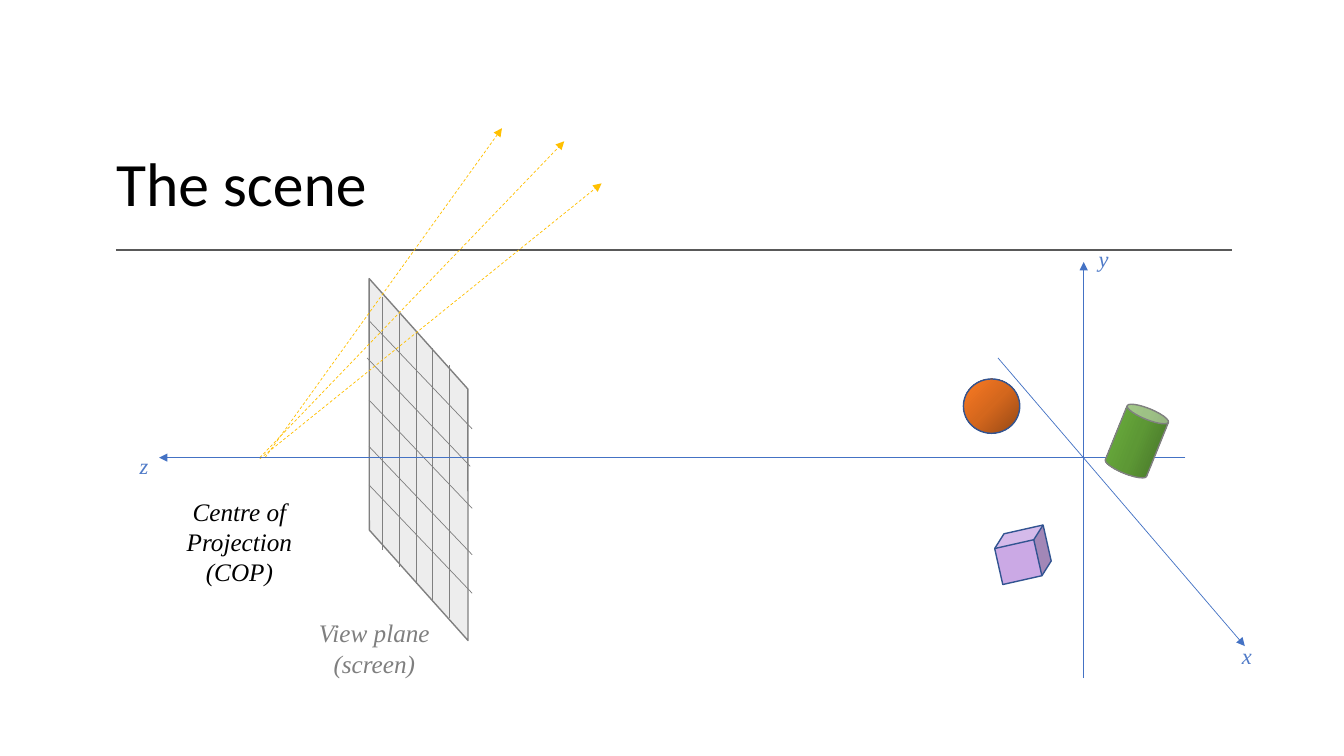
from copy import deepcopy
from dataclasses import dataclass

from lxml.etree import SubElement
from pptx import Presentation
from pptx.dml.color import RGBColor
from pptx.enum.dml import MSO_LINE
from pptx.enum.shapes import MSO_CONNECTOR, MSO_SHAPE
from pptx.enum.text import MSO_ANCHOR, MSO_AUTO_SIZE, PP_ALIGN
from pptx.oxml.ns import qn
from pptx.util import Cm, Pt


@dataclass(frozen=True)
class Theme:
    title_font: str = "Calibri"
    label_font: str = "Times New Roman"
    title_size: int = 44
    label_size: int = 18
    axis_label_size: int = 16
    text: str = "000000"
    rule: str = "595959"
    muted: str = "7F7F7F"
    grid: str = "808080"
    plane: str = "D9D9D9"
    ray: str = "FFC000"
    axis: str = "4472C4"
    axis_label: str = "507BC8"
    outline: str = "325491"
    cube: str = "CBA9E5"
    sphere: tuple = ("954815", "D4671D", "FB7A23")
    cylinder: tuple = ("416B26", "5D9835", "6EB53F")


theme = Theme()
presentation = Presentation()
presentation.slide_width, presentation.slide_height = Cm(33.87), Cm(19.05)
slide = presentation.slides.add_slide(presentation.slide_layouts[5])


def add_line(start, end, color, width=0.5, arrow=False, dashed=False):
    connector = slide.shapes.add_connector(
        MSO_CONNECTOR.STRAIGHT, *(Cm(value) for value in (*start, *end)))
    connector.line.color.rgb = RGBColor.from_string(color)
    connector.line.width = Pt(width)
    if dashed:
        connector.line.dash_style = MSO_LINE.DASH
    if arrow:
        SubElement(connector.line._get_or_add_ln(), qn("a:tailEnd"), type="triangle")
    SubElement(connector._element.spPr, qn("a:effectLst"))


def add_label(lines, box, size, color, wrap=True):
    label = slide.shapes.add_textbox(*(Cm(value) for value in box))
    frame = label.text_frame
    frame.word_wrap = wrap
    frame.auto_size = MSO_AUTO_SIZE.SHAPE_TO_FIT_TEXT
    paragraph = frame.paragraphs[0]
    paragraph.alignment = PP_ALIGN.CENTER
    for index, line in enumerate(lines):
        if index:
            paragraph.add_line_break()
        run = paragraph.add_run()
        run.text = line
        run.font.name = theme.label_font
        run.font.size = Pt(size)
        run.font.italic = True
        run.font.color.rgb = RGBColor.from_string(color)


# Title and rule
title = slide.shapes.title
title.left, title.top, title.width, title.height = Cm(2.67), Cm(2.72), Cm(29.41), Cm(2.95)
title.text_frame.vertical_anchor = MSO_ANCHOR.BOTTOM
title.text_frame.auto_size = MSO_AUTO_SIZE.NONE
title_paragraph = title.text_frame.paragraphs[0]
title_paragraph.alignment = PP_ALIGN.LEFT
title_paragraph.line_spacing = 0.9
title_run = title_paragraph.add_run()
title_run.text = "The scene"
title_run.font.name = theme.title_font
title_run.font.size = Pt(theme.title_size)
title_run.font.color.rgb = RGBColor.from_string(theme.text)
add_line((2.92, 6.3), (31.04, 6.3), theme.rule, width=1.25)

# View plane
add_label(["View plane", "(screen)"], (7.77, 15.44, 3.33, 1.8),
          theme.label_size, theme.muted, wrap=False)
plane = slide.shapes.add_shape(
    MSO_SHAPE.PARALLELOGRAM, Cm(6.32), Cm(9.47), Cm(8.46), Cm(4.22))
plane.shadow.inherit = False
plane.adjustments[0] = 1.12
plane.rotation = 48.2
plane._element.spPr.xfrm.set("flipV", "1")
plane.fill.solid()
plane.fill.fore_color.rgb = RGBColor.from_string(theme.plane)
plane_color = plane._element.spPr.find(qn("a:solidFill")).find(qn("a:srgbClr"))
SubElement(plane_color, qn("a:alpha"), val="45000")
plane.line.color.rgb = RGBColor.from_string(theme.grid)
plane.line.width = Pt(1)

# Pixel grid on the view plane
for column in range(5):
    x, y = 9.63 + 0.425 * column, 7.49 + 0.43 * column
    add_line((x, y), (x, y + 6.37), theme.grid)
for x, y in [(9.3, 8.08), (9.25, 9.02), (9.3, 10.08), (9.3, 11.25), (9.3, 12.22)]:
    add_line((x, y), (x + 2.6, y + 2.73), theme.grid)

# Rays from the centre of projection
for start, end in [
    ((6.68, 11.53), (12.65, 3.23)),
    ((6.55, 11.53), (14.22, 3.56)),
    ((6.55, 11.56), (15.16, 4.62)),
]:
    add_line(start, end, theme.ray, arrow=True, dashed=True)
add_label(["Centre of Projection (COP)"], (3.71, 12.37, 4.65, 2.57),
          theme.label_size, theme.text)

# Axes with their names
for name, start, end, (left, top) in [
    ("z", (29.87, 11.53), (4.01, 11.53), (3.25, 11.28)),
    ("y", (27.31, 17.09), (27.31, 6.6), (27.43, 6.05)),
    ("x", (25.15, 9.02), (31.37, 16.28), (31.04, 16.05)),
]:
    add_line(start, end, theme.axis, arrow=True)
    add_label([name], (left, top, 0.76, 0.94), theme.axis_label_size, theme.axis_label)

# Solids: colours, gradient angle, outline, rotation
for preset, box, colors, angle, outline, rotation in [
    (MSO_SHAPE.OVAL, (24.28, 9.55, 1.42, 1.37), theme.sphere, 135, theme.outline, 0),
    (MSO_SHAPE.CUBE, (25.12, 13.36, 1.32, 1.24), (theme.cube,), 0, theme.outline, 347.3),
    (MSO_SHAPE.CAN, (28.09, 10.24, 1.12, 1.75), theme.cylinder, 180, theme.grid, 22),
]:
    solid = slide.shapes.add_shape(preset, *(Cm(value) for value in box))
    solid.shadow.inherit = False
    solid.rotation = rotation
    solid.line.color.rgb = RGBColor.from_string(outline)
    solid.line.width = Pt(1)
    if len(colors) == 1:
        solid.fill.solid()
        solid.fill.fore_color.rgb = RGBColor.from_string(colors[0])
    else:
        solid.fill.gradient()
        solid.fill.gradient_angle = angle
        stop_list = solid._element.spPr.find(qn("a:gradFill")).find(qn("a:gsLst"))
        stop_list.append(deepcopy(stop_list[-1]))
        for stop, position, color in zip(solid.fill.gradient_stops, (0, 0.5, 1), colors):
            stop.position = position
            stop.color.rgb = RGBColor.from_string(color)

presentation.save("out.pptx")
